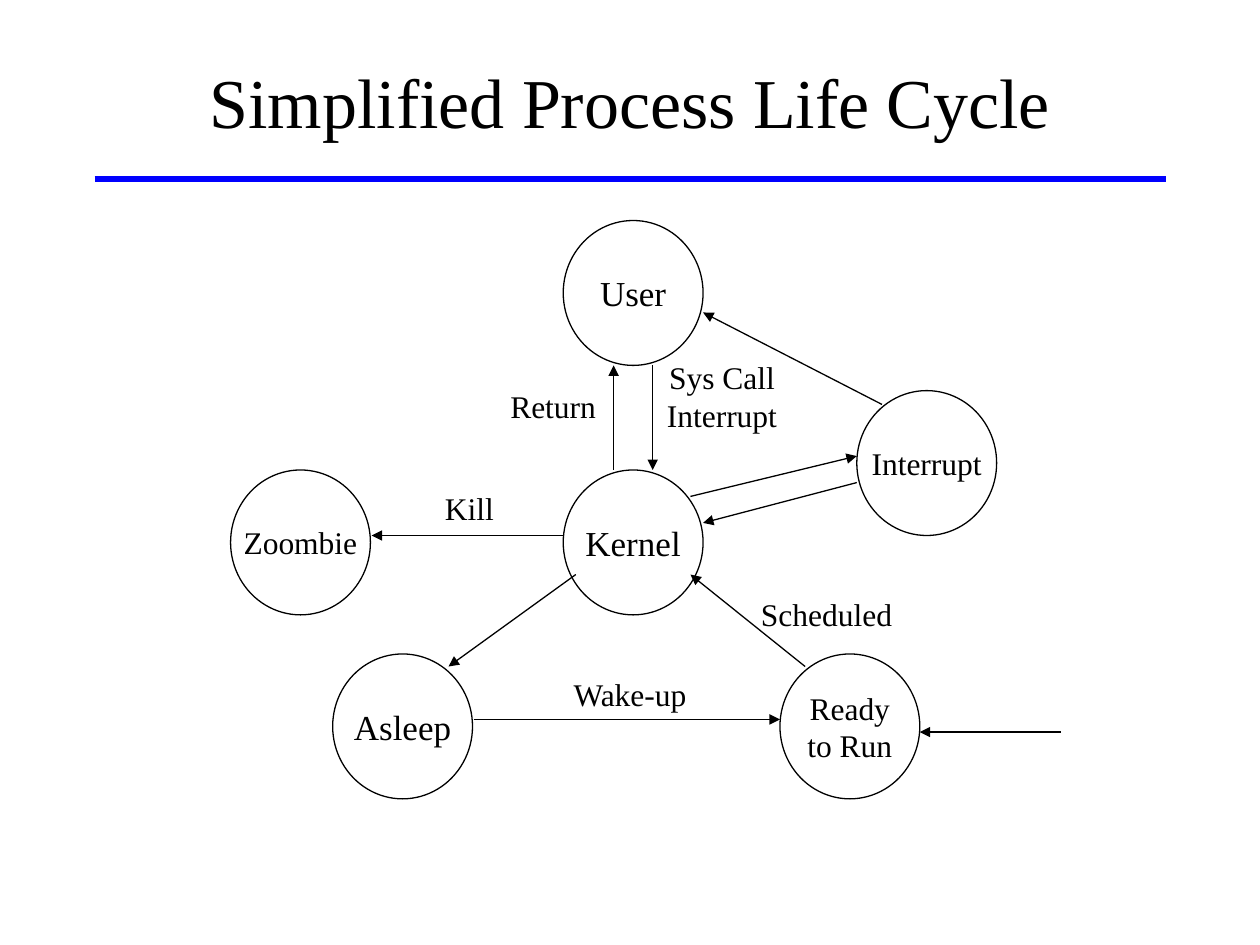
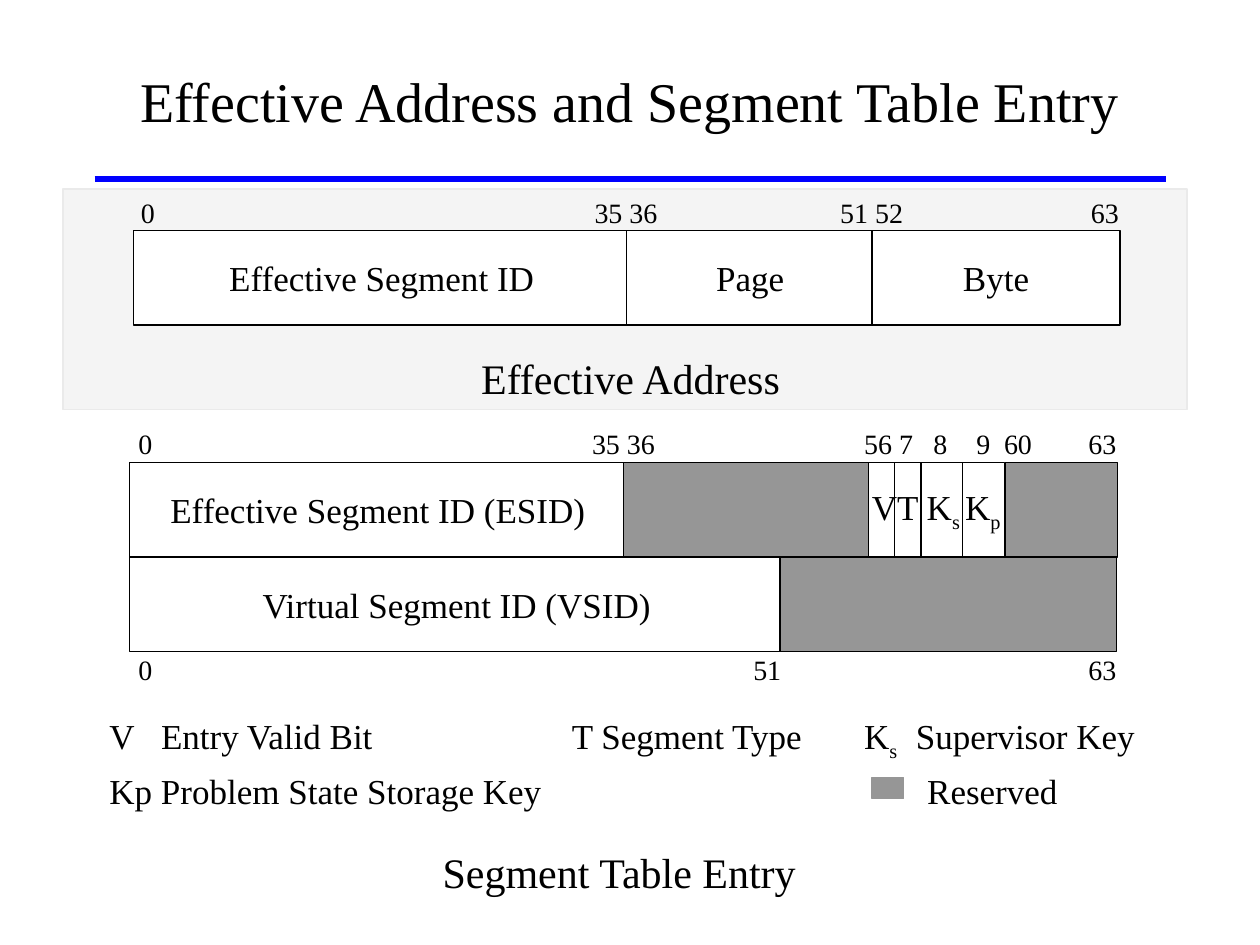
from lxml.etree import SubElement
from pptx import Presentation
from pptx.dml.color import RGBColor
from pptx.enum.shapes import MSO_CONNECTOR as Connector, MSO_SHAPE as Shape
from pptx.enum.text import MSO_ANCHOR as Anchor, MSO_AUTO_SIZE as AutoSize, PP_ALIGN as Align
from pptx.oxml.ns import qn
from pptx.util import Pt

PX = 9144  # 100 px to the inch
FONT = "Times New Roman"
COLOURS = {"ink": "000000", "rule": "0000FF", "paper": "FFFFFF",
           "panel": "EAEAEA", "reserved": "969696"}
TITLE_BOX = (75, 17, 850, 125)
RULE = ((75, 142), (925, 142))

# Slide 1: states (text, left, top, size), transitions and their labels
LIFE_CYCLE_TITLE = "Simplified Process Life Cycle"
STATE_SIZE = (111, 115)
STATES = [
    ("User", 447, 175, 20), ("Kernel", 447, 373, 20), ("Asleep", 264, 519, 20),
    ("Ready\nto Run", 619, 519, 18), ("Zoombie", 183, 373, 18), ("Interrupt", 680, 310, 18),
]
TRANSITIONS = [
    ((518, 290), (518, 373)), ((487, 373), (487, 290)), ((457, 456), (356, 529)),
    ((376, 571), (619, 571)), ((639, 529), (548, 456)), ((447, 425), (295, 425)),
    ((842, 581), (730, 581)), ((548, 394), (680, 362)), ((680, 383), (558, 415)),
    ((700, 321), (558, 248)),
]
TRANSITION_LABELS = [
    ("Wake-up", (444, 531, 112, 40)), ("Scheduled", (594, 467, 124, 40)),
    ("Sys Call\nInterrupt", (519, 279, 108, 70)), ("Return", (395, 302, 88, 40)),
    ("Kill", (343, 383, 59, 40)),
]

# Slide 2: fields (text, left, width, fill) by row; |x| marks a subscript
ADDRESS_TITLE = "Effective Address and Segment Table Entry"
PANEL = (50, 150, 892, 175)
FIELD_HEIGHT = 75
FIELD_ROWS = [
    (183, [("Effective Segment ID", 106, 394, "paper"), ("Page", 497, 197, "paper"),
           ("Byte", 692, 197, "paper")]),
    (367, [("Effective Segment ID (ESID)", 103, 394, "paper"), ("", 495, 197, "reserved"),
           ("", 798, 89, "reserved"), ("VT K|s |K|p|", 689, 108, "paper")]),
    (442, [("Virtual Segment ID (VSID)", 103, 519, "paper"), ("", 619, 267, "reserved")]),
]
FLAG_DIVIDERS = (710, 731, 764)
# Bit numbers: left, top, then label and tab stop
BIT_ROWS = [
    (102, 150, [("0", 0), ("35 36", 360), ("51 52", 555), ("63", 754)]),
    (100, 333, [("0", 0), ("35 36", 360), ("56 7", 576), ("8", 631), ("9", 665),
                ("60", 687), ("63", 754)]),
    (100, 513, [("0", 0), ("35"[:0] + "51", 488), ("63", 754)]),
]
CAPTIONS = [("Effective Address", (371, 275, 259, 50)),
            ("Segment Table Entry", (340, 667, 303, 50))]
LEGEND_BOX = (77, 567, 840, 77)
LEGEND = [
    [("V", 0), ("Entry Valid Bit", 41), ("T Segment Type", 367), ("K|s|", 599),
     ("Supervisor Key", 640)],
    [("Kp Problem State Storage Key", 0), ("Reserved", 649)],
]
RESERVED_SWATCH = (692, 617, 25, 17)


def px(*lengths):
    return [length * PX for length in lengths]


def colour(name):
    return RGBColor.from_string(COLOURS[name])


def style_run(run, size):
    run.font.name, run.font.size = FONT, Pt(size)
    run.font.color.rgb = colour("ink")


def write(shape, text, size, align=Align.CENTER, wrap=False):
    frame = shape.text_frame
    frame.word_wrap, frame.auto_size = wrap, AutoSize.NONE
    frame.vertical_anchor = Anchor.MIDDLE
    frame.text = text.replace("|", "") if "|" not in text else ""
    for line, paragraph in zip(text.split("\n"), frame.paragraphs):
        fill_line(paragraph, line, size, align)


def fill_line(paragraph, line, size, align):
    paragraph.text = ""
    paragraph.alignment = align
    for index, part in enumerate(line.split("|")):
        if part:
            run = paragraph.add_run()
            run.text = part
            style_run(run, size)
            if index % 2:
                run.font._element.set("baseline", "-25000")


def write_tabbed(slide, box, rows, size, gap=0):
    frame = slide.shapes.add_textbox(*px(*box)).text_frame
    frame.word_wrap, frame.vertical_anchor = True, Anchor.MIDDLE
    for index, row in enumerate(rows):
        paragraph = frame.add_paragraph() if index else frame.paragraphs[0]
        stops = SubElement(paragraph._p.get_or_add_pPr(), qn("a:tabLst"))
        for _, stop in row[1:]:
            SubElement(stops, qn("a:tab"), pos=str(stop * PX), algn="l")
        fill_line(paragraph, "\t".join(label for label, _ in row), size, Align.LEFT)
        if index:
            paragraph.space_before = Pt(gap)


def add_label(slide, text, box, size):
    write(slide.shapes.add_textbox(*px(*box)), text, size)


def add_box(slide, kind, box, fill=None, line="ink"):
    shape = slide.shapes.add_shape(kind, *px(*box))
    shape.shadow.inherit = False
    if fill:
        shape.fill.solid()
        shape.fill.fore_color.rgb = colour(fill)
    else:
        shape.fill.background()
    shape.line.color.rgb, shape.line.width = colour(line), Pt(0.75)
    return shape


def add_line(slide, start, end, line="ink", width=0.75, arrow=False):
    connector = slide.shapes.add_connector(Connector.STRAIGHT, *px(*start, *end))
    connector.line.color.rgb, connector.line.width = colour(line), Pt(width)
    if arrow:
        SubElement(connector.line._get_or_add_ln(), qn("a:tailEnd"), type="triangle")
    SubElement(connector._element.spPr, qn("a:effectLst"))


def add_titled_slide(deck, title, size):
    slide = deck.slides.add_slide(deck.slide_layouts[5])
    heading = slide.shapes.title
    heading.left, heading.top, heading.width, heading.height = px(*TITLE_BOX)
    write(heading, title, size, wrap=True)
    add_line(slide, *RULE, line="rule", width=3)
    return slide


def build_life_cycle(deck):
    slide = add_titled_slide(deck, LIFE_CYCLE_TITLE, 40)
    for state, left, top, size in STATES:
        write(add_box(slide, Shape.OVAL, (left, top, *STATE_SIZE)), state, size)
    for start, end in TRANSITIONS:
        add_line(slide, start, end, arrow=True)
    for label, box in TRANSITION_LABELS:
        add_label(slide, label, box, 18)


def build_address(deck):
    slide = add_titled_slide(deck, ADDRESS_TITLE, 32)
    # Half-transparent panel behind the effective address
    panel = add_box(slide, Shape.RECTANGLE, PANEL, "panel", "panel")
    tint = panel._element.spPr.find(qn("a:solidFill")).find(qn("a:srgbClr"))
    SubElement(tint, qn("a:alpha"), val="50000")
    # Fields and bit numbers
    for top, fields in FIELD_ROWS:
        for text, left, width, fill in fields:
            field = add_box(slide, Shape.RECTANGLE, (left, top, width, FIELD_HEIGHT), fill)
            if text:
                write(field, text, 20)
    entry_top = FIELD_ROWS[1][0]
    for x in FLAG_DIVIDERS:
        add_line(slide, (x, entry_top), (x, entry_top + FIELD_HEIGHT))
    for left, top, bits in BIT_ROWS:
        write_tabbed(slide, (left, top, 798, 37), [bits], 16)
    # Captions and legend
    for caption, box in CAPTIONS:
        add_label(slide, caption, box, 24)
    write_tabbed(slide, LEGEND_BOX, LEGEND, 20, gap=4)
    add_box(slide, Shape.RECTANGLE, RESERVED_SWATCH, "reserved", "reserved")


def main():
    deck = Presentation()
    deck.slide_width, deck.slide_height = px(1000, 750)
    build_life_cycle(deck)
    build_address(deck)
    deck.save("out.pptx")


if __name__ == "__main__":
    main()
